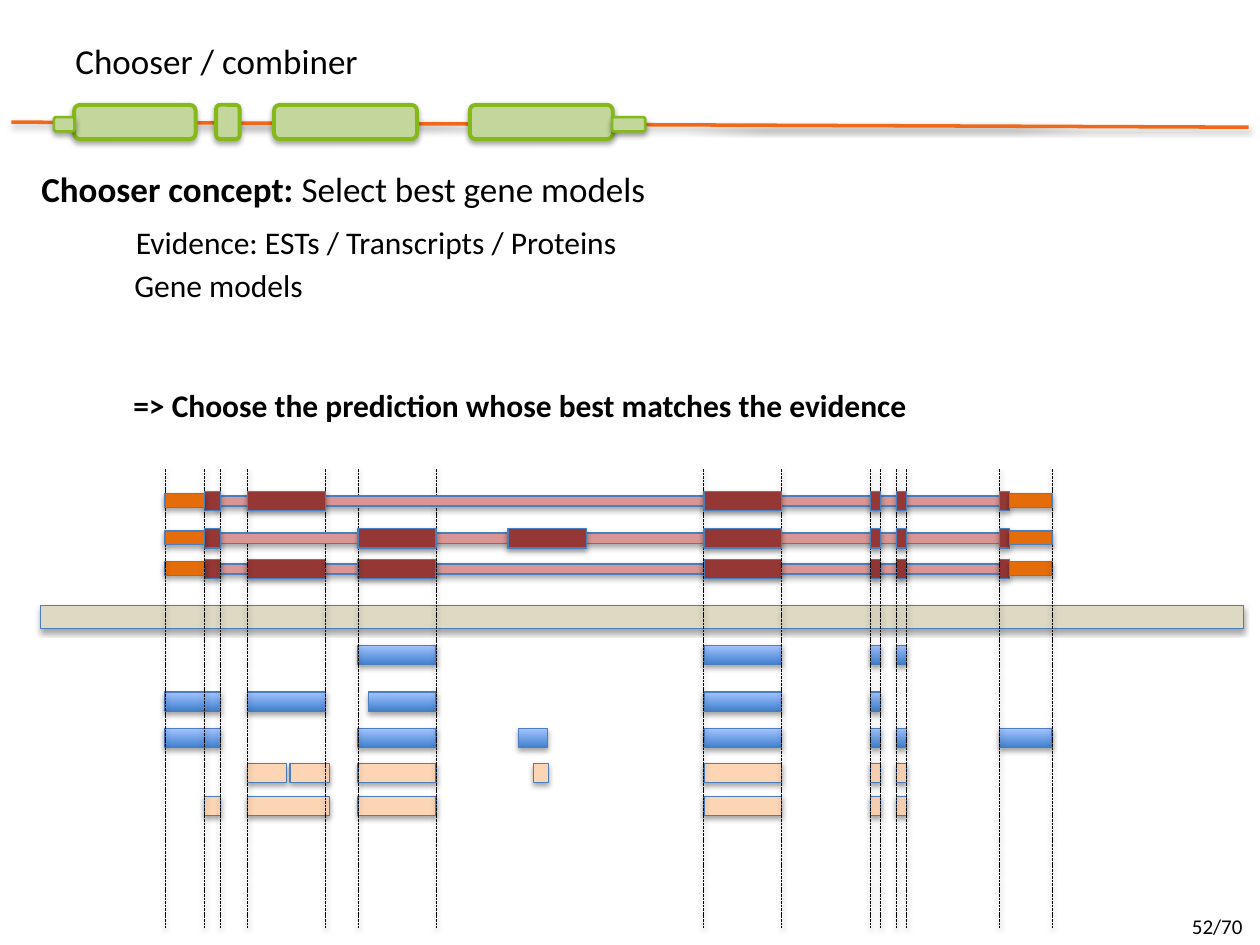
import dataclasses
import typing

import lxml.etree
import pptx
import pptx.dml.color
import pptx.enum.dml
import pptx.enum.shapes
import pptx.enum.text
import pptx.oxml.ns
import pptx.util

Pt = pptx.util.Pt
Shapes = typing.Any


@dataclasses.dataclass(frozen=True)
class Theme:
    font: str = "Calibri"
    heading: float = 20
    body: float = 18
    footer: float = 12
    ink: str = "000000"
    backbone: str = "F0681A"
    gene_fill: str = "C3D69B"
    gene_edge: str = "84B919"
    outline: str = "4B7EBC"
    genome: str = "DDD9C3"
    intron: str = "D99694"
    exon: str = "953735"
    utr: str = "E46C0A"
    transcript: tuple = ("3F80CE", "A4C4FF")
    protein: str = "FCD5B5"


THEME = Theme()


class Span(typing.NamedTuple):
    left: float
    right: float


class GeneBox(typing.NamedTuple):
    left: float
    top: float
    width: float
    height: float
    edge: float


class Label(typing.NamedTuple):
    box: tuple
    text: str
    size: float
    bold_part: str = ""
    wrap: bool = False
    middle: bool = False


class Track(typing.NamedTuple):
    top: float
    spans: list


UTR_5, UTR_3 = Span(94.3, 117), Span(576.7, 601.2)
EXON_1, EXON_2, EXON_3 = Span(116.8, 126), Span(141.4, 186), Span(204.6, 249.2)
EXON_4, EXON_5, EXON_6 = Span(402.2, 446.8), Span(497.4, 503.2), Span(512.4, 518)
EXON_7, EXTRA_EXON = Span(571, 576.7), Span(290.3, 335)
INTRON = Span(123.2, 571)
START_READ, END_READ = Span(UTR_5.left, EXON_1.right), Span(EXON_7.left, UTR_3.right)
LONG_EXON_2 = Span(EXON_2.left, 188.2)
SHARED = [EXON_4, EXON_5, EXON_6]
ROW_HEIGHT = 10.9

MODELS = [
    Track(281, [EXON_2, *SHARED, EXON_7, EXON_1]),
    Track(302.2, [EXTRA_EXON, EXON_3, *SHARED, EXON_7, EXON_1]),
    Track(319.8, [EXON_2, EXON_3, *SHARED, EXON_7, EXON_1]),
]
TRANSCRIPTS = [
    Track(368.8, [EXON_3, *SHARED]),
    Track(395.4, [EXON_2, Span(210.6, EXON_3.right), EXON_4, EXON_5, START_READ]),
    Track(416.3, [EXON_3, *SHARED, END_READ, START_READ, Span(296.3, 313)]),
]
PROTEINS = [
    Track(436.3, [Span(EXON_2.left, 163.6), EXON_3, *SHARED,
                  Span(165.8, LONG_EXON_2.right), Span(304.8, 313.4)]),
    Track(455, [EXON_1, EXON_3, *SHARED, LONG_EXON_2]),
]
GUIDED = [START_READ, EXON_1, EXON_2, EXON_3, *SHARED, END_READ]
GENE_BOXES = [
    GeneBox(42.4, 59.9, 69.4, 19.6, 2.25),
    GeneBox(123.5, 59.9, 13.4, 19.6, 2.25),
    GeneBox(156.6, 59.9, 81.7, 19.6, 2.25),
    GeneBox(268.5, 59.9, 81.7, 19.6, 2.25),
    GeneBox(349.8, 66.9, 19, 8.2, 1.5),
    GeneBox(30.8, 66.9, 11.8, 8.2, 1.5),
]
LABELS = [
    Label((36, 17.3, 270, 34.6), "Chooser / combiner", THEME.heading, wrap=True, middle=True),
    Label((16.6, 92.2, 363, 31.5), "Chooser concept: Select best gene models",
          THEME.heading, bold_part="Chooser concept: "),
    Label((70.5, 123.8, 317, 29), "Evidence: ESTs / Transcripts / Proteins", THEME.body, wrap=True),
    Label((69.7, 148.5, 111.4, 29), "Gene models", THEME.body),
    Label((69.1, 217.2, 462, 29), "=> Choose the prediction whose best matches the evidence",
          THEME.body, bold_part="=> Choose the prediction whose best matches the evidence"),
    Label((674, 518.4, 46, 21.6), "52/70", THEME.footer, wrap=True),
]


def rgb(value: str) -> pptx.dml.color.RGBColor:
    """Turn a hex string into a colour."""
    return pptx.dml.color.RGBColor.from_string(value)


def add_shadow(item: typing.Any, distance: float, alpha: int) -> None:
    """Give a shape or connector a soft shadow straight below it."""
    qn = pptx.oxml.ns.qn
    effects = lxml.etree.SubElement(item._element.spPr, qn("a:effectLst"))
    shadow = lxml.etree.SubElement(effects, qn("a:outerShdw"), blurRad=str(Pt(3.1)),
                                   dist=str(Pt(distance)), dir="5400000", rotWithShape="0")
    colour = lxml.etree.SubElement(shadow, qn("a:srgbClr"), val=THEME.ink)
    lxml.etree.SubElement(colour, qn("a:alpha"), val=str(alpha * 1000))


def add_block(shapes: Shapes, box: tuple, fill: str | tuple, edge: str = THEME.outline,
              edge_width: float = 0.75, rounded: bool = False) -> None:
    """Draw a shadowed block with a plain fill or a vertical gradient."""
    kinds = pptx.enum.shapes.MSO_SHAPE
    kind = kinds.ROUNDED_RECTANGLE if rounded else kinds.RECTANGLE
    block = shapes.add_shape(kind, *map(Pt, box))
    if isinstance(fill, tuple):
        block.fill.gradient()
        block.fill.gradient_angle = 90
        for stop, value in zip(block.fill.gradient_stops, fill):
            stop.color.rgb = rgb(value)
    else:
        block.fill.solid()
        block.fill.fore_color.rgb = rgb(fill)
    block.line.color.rgb = rgb(edge)
    block.line.width = Pt(edge_width)
    add_shadow(block, 1.8, 35)


def add_line(shapes: Shapes, ends: tuple, colour: str, width: float, dashed: bool = False) -> None:
    """Draw a shadowed straight line."""
    line = shapes.add_connector(pptx.enum.shapes.MSO_CONNECTOR.STRAIGHT, *map(Pt, ends))
    line.line.color.rgb = rgb(colour)
    line.line.width = Pt(width)
    if dashed:
        line.line.dash_style = pptx.enum.dml.MSO_LINE.SQUARE_DOT
    add_shadow(line, 1.6, 38)


def add_spans(shapes: Shapes, track: Track, fill: str | tuple) -> None:
    """Draw every span of a track at the height of its row."""
    for span in track.spans:
        add_block(shapes, (span.left, track.top, span.right - span.left, ROW_HEIGHT), fill)


def add_model(slide: typing.Any, track: Track) -> None:
    """Draw a gene model: intron bar, exons and untranslated ends."""
    shapes = slide.shapes.add_group_shape().shapes
    add_block(shapes, (INTRON.left, track.top + 2.4, INTRON.right - INTRON.left, 5.8), THEME.intron)
    add_spans(shapes, track, THEME.exon)
    for utr in (UTR_5, UTR_3):
        add_block(shapes, (utr.left, track.top + 1.2, utr.right - utr.left, 8), THEME.utr)


def add_evidence(slide: typing.Any, tracks: list[Track], fill: str | tuple) -> None:
    """Draw the aligned evidence of one kind."""
    shapes = slide.shapes.add_group_shape().shapes
    for track in tracks:
        add_spans(shapes, track, fill)


def add_label(slide: typing.Any, label: Label) -> None:
    """Write a line of text, with its leading part in bold if asked."""
    anchors = pptx.enum.text.MSO_ANCHOR
    frame = slide.shapes.add_textbox(*map(Pt, label.box)).text_frame
    frame.word_wrap = label.wrap
    frame.vertical_anchor = anchors.MIDDLE if label.middle else anchors.TOP
    paragraph = frame.paragraphs[0]
    for part, bold in ((label.bold_part, True), (label.text[len(label.bold_part):], False)):
        if part:
            run = paragraph.add_run()
            run.text = part
            run.font.name = THEME.font
            run.font.size = Pt(label.size)
            run.font.bold = bold
            run.font.color.rgb = rgb(THEME.ink)


def main() -> None:
    """Build the slide and save it."""
    deck = pptx.Presentation()
    deck.slide_width, deck.slide_height = Pt(720), Pt(540)
    slide = deck.slides.add_slide(deck.slide_layouts[6])
    add_line(slide.shapes, (6.5, 69.8, 713.5, 72.7), THEME.backbone, 2)
    for gene in GENE_BOXES:
        add_block(slide.shapes, gene[:4], THEME.gene_fill, THEME.gene_edge, gene.edge, rounded=True)
    add_block(slide.shapes, (23, 346, 687.6, 13.3), THEME.genome)
    upper, middle, lower = MODELS
    add_model(slide, lower)
    add_evidence(slide, PROTEINS, THEME.protein)
    add_evidence(slide, TRANSCRIPTS, THEME.transcript)
    guides = slide.shapes.add_group_shape().shapes
    for x in sorted({edge for span in GUIDED for edge in span}):
        add_line(guides, (x, 268, x, 530.5), THEME.ink, 0.5, dashed=True)
    add_model(slide, middle)
    add_model(slide, upper)
    for label in LABELS:
        add_label(slide, label)
    deck.save("out.pptx")


if __name__ == "__main__":
    main()
